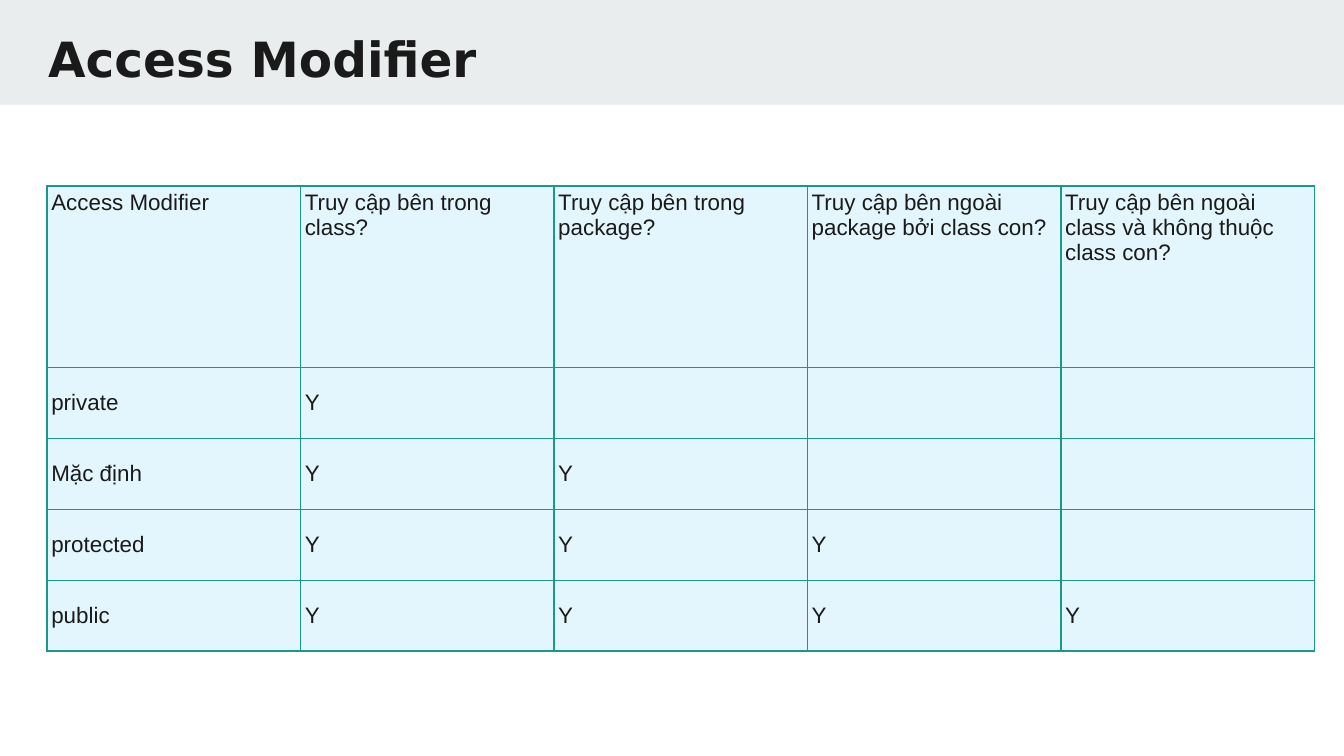
from lxml import etree
from pptx import Presentation
from pptx.dml.color import RGBColor
from pptx.enum.shapes import MSO_SHAPE
from pptx.enum.text import MSO_ANCHOR
from pptx.oxml.ns import qn
from pptx.util import Cm, Pt

RECT = MSO_SHAPE.RECTANGLE
TOP, MIDDLE = MSO_ANCHOR.TOP, MSO_ANCHOR.MIDDLE
INK, BAND, CELL, EDGE = "1A1A1A", "E9EDEE", "E4F6FD", "1A9988"
HEADS = [
    "Access Modifier",
    "Truy cập bên trong class?",
    "Truy cập bên trong package?",
    "Truy cập bên ngoài package bởi class con?",
    "Truy cập bên ngoài class và không thuộc class con?",
]
LEVELS = ["private", "Mặc định", "protected", "public"]


def color(code):
    """Turn a hex string into a colour."""
    return RGBColor.from_string(code)


def paint(item, code):
    """Give a shape or cell a solid fill."""
    item.fill.solid()
    item.fill.fore_color.rgb = color(code)


def write(frame, text, size, face, bold=False):
    """Set the text of a frame and format its run."""
    frame.text = text
    font = frame.paragraphs[0].runs[0].font
    font.size, font.name, font.bold = Pt(size), face, bold
    font.color.rgb = color(INK)


def add_band(slide, width):
    """Draw the header band across the slide."""
    band = slide.shapes.add_shape(RECT, 0, 0, width, Cm(1.98))
    band.shadow.inherit = False
    paint(band, BAND)
    band.line.fill.background()


def add_title(slide, text):
    """Place the slide title on the band."""
    box = slide.shapes.add_textbox(Cm(0.66), Cm(0.3), Cm(24.18), Cm(1.5))
    frame = box.text_frame
    frame.word_wrap = True
    frame.margin_left = frame.margin_right = Cm(0.25)
    frame.margin_top = frame.margin_bottom = Cm(0.25)
    write(frame, text, 26, "DejaVu Sans", True)


def add_edges(cell):
    """Draw a thin line on all four sides of a cell."""
    props = cell._tc.get_or_add_tcPr()
    for side in ("a:lnL", "a:lnR", "a:lnT", "a:lnB"):
        line = etree.SubElement(props, qn(side), w=str(Pt(1)))
        fill = etree.SubElement(line, qn("a:solidFill"))
        etree.SubElement(fill, qn("a:srgbClr"), val=EDGE)


def fill_cell(cell, text, anchor):
    """Style one table cell and write its text."""
    add_edges(cell)
    paint(cell, CELL)
    cell.margin_left = cell.margin_right = Cm(0.08)
    cell.margin_top = cell.margin_bottom = Cm(0.08)
    cell.vertical_anchor = anchor
    if text:
        write(cell.text_frame, text, 12, "Arial")


def add_grid(slide, rows):
    """Add the access table with a tall first row."""
    count = len(rows[0])
    high, low = Cm(3.43), Cm(1.34)
    frame = slide.shapes.add_table(
        len(rows), count, Cm(0.89), Cm(3.52),
        Cm(4.79) * count, high + low * (len(rows) - 1))
    table = frame.table
    for col in table.columns:
        col.width = Cm(4.79)
    for r, row in enumerate(rows):
        table.rows[r].height = low if r else high
        for c, text in enumerate(row):
            fill_cell(table.cell(r, c), text, MIDDLE if r else TOP)


def main():
    """Build and save the slide."""
    deck = Presentation()
    deck.slide_width, deck.slide_height = Cm(25.4), Cm(14.29)
    slide = deck.slides.add_slide(deck.slide_layouts[6])
    add_band(slide, deck.slide_width)
    add_title(slide, "Access Modifier")
    rows = [HEADS]
    for rank, level in enumerate(LEVELS, 1):
        rows.append([level] + ["Y"] * rank + [""] * (len(LEVELS) - rank))
    add_grid(slide, rows)
    deck.save("out.pptx")


if __name__ == "__main__":
    main()
